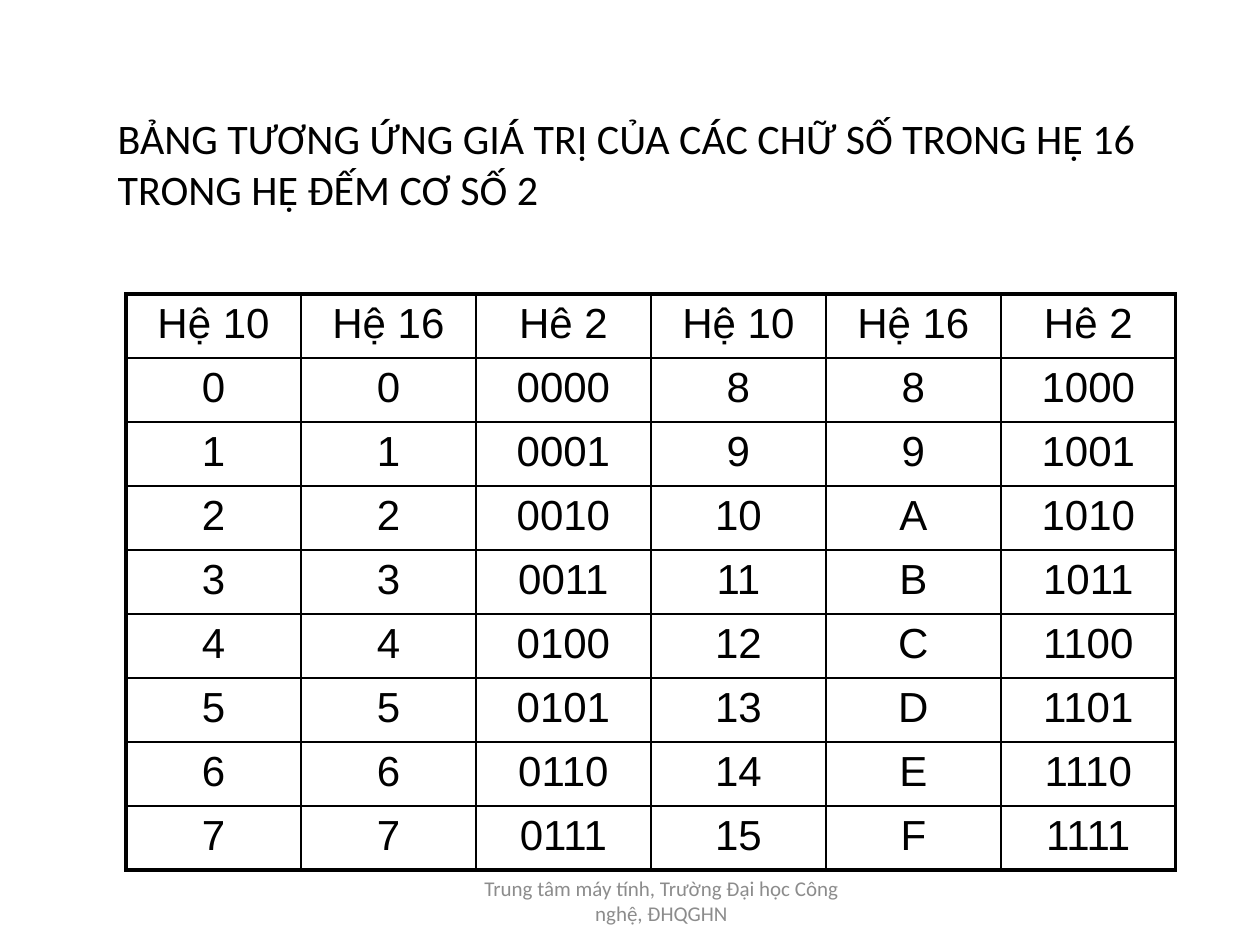
from lxml import etree
from pptx import Presentation
from pptx.dml.color import RGBColor
from pptx.enum.text import MSO_ANCHOR, MSO_AUTO_SIZE, PP_ALIGN
from pptx.oxml.ns import qn
from pptx.util import Pt

PX = 914400 // 126
LEFT, CENTER = PP_ALIGN.LEFT, PP_ALIGN.CENTER
TOP, MIDDLE = MSO_ANCHOR.TOP, MSO_ANCHOR.MIDDLE
NO_AUTOFIT = MSO_AUTO_SIZE.NONE
TITLE_ONLY = 5

COLORS = {"text": "000000", "border": "000000", "footer": "8C8C8C"}
THICK, THIN = 2.25, 1

TITLE = "BẢNG TƯƠNG ỨNG GIÁ TRỊ CỦA CÁC CHỮ SỐ TRONG HỆ 16 TRONG HỆ ĐẾM CƠ SỐ 2"
FOOTER = "Trung tâm máy tính, Trường Đại học Công nghệ, ĐHQGHN"
HEADERS = ["Hệ 10", "Hệ 16", "Hê 2"] * 2


def px(*lengths):
    return [length * PX for length in lengths]


def write(tf, text, size=24, font="Calibri", color="text", align=LEFT):
    p = tf.paragraphs[0]
    p.alignment = align
    r = p.add_run()
    r.text = text
    r.font.size = Pt(size)
    r.font.name = font
    r.font.color.rgb = RGBColor.from_string(COLORS[color])


def set_border(cell, side, width):
    ln = etree.SubElement(cell._tc.get_or_add_tcPr(), qn(f"a:ln{side}"), w=str(Pt(width)))
    fill = etree.SubElement(ln, qn("a:solidFill"))
    etree.SubElement(fill, qn("a:srgbClr"), val=COLORS["border"])


def add_title(s, x, y, w, h):
    sp = s.shapes.title
    sp.left, sp.top, sp.width, sp.height = px(x, y, w, h)
    tf = sp.text_frame
    tf.word_wrap = True
    tf.auto_size = NO_AUTOFIT
    tf.vertical_anchor = MIDDLE
    write(tf, TITLE)


def number_rows():
    """Each row pairs a digit n with n + 8, in bases 10, 16 and 2."""
    for n in range(8):
        yield [f"{v:{base}}" for v in (n, n + 8) for base in ("d", "X", "04b")]


def add_number_table(s, x, y, w, h):
    rows = [HEADERS, *number_rows()]
    n_rows, n_cols = len(rows), len(HEADERS)
    table = s.shapes.add_table(n_rows, n_cols, *px(x, y, w, h)).table
    table.first_row = table.horz_banding = False
    for col in table.columns:
        col.width = w * PX // n_cols
    for row in table.rows:
        row.height = h * PX // n_rows

    for i, values in enumerate(rows):
        for j, value in enumerate(values):
            cell = table.cell(i, j)
            # Thick lines on the outer edge, thin ones inside
            outer = {"L": j == 0, "R": j == n_cols - 1, "T": i == 0, "B": i == n_rows - 1}
            for side, is_outer in outer.items():
                set_border(cell, side, THICK if is_outer else THIN)
            cell.fill.background()
            cell.vertical_anchor = TOP
            write(cell.text_frame, value, font="Arial", align=CENTER)


def add_footer(s, x, y, w, h):
    tf = s.shapes.add_textbox(*px(x, y, w, h)).text_frame
    tf.word_wrap = True
    tf.auto_size = NO_AUTOFIT
    tf.vertical_anchor = MIDDLE
    write(tf, FOOTER, size=12, color="footer", align=CENTER)


def main():
    prs = Presentation()
    prs.slide_width, prs.slide_height = px(1260, 945)
    s = prs.slides.add_slide(prs.slide_layouts[TITLE_ONLY])
    add_title(s, 105, 105, 1092, 116)
    add_number_table(s, 126, 294, 1050, 576)
    add_footer(s, 462, 876, 399, 50)
    prs.save("out.pptx")


if __name__ == "__main__":
    main()
